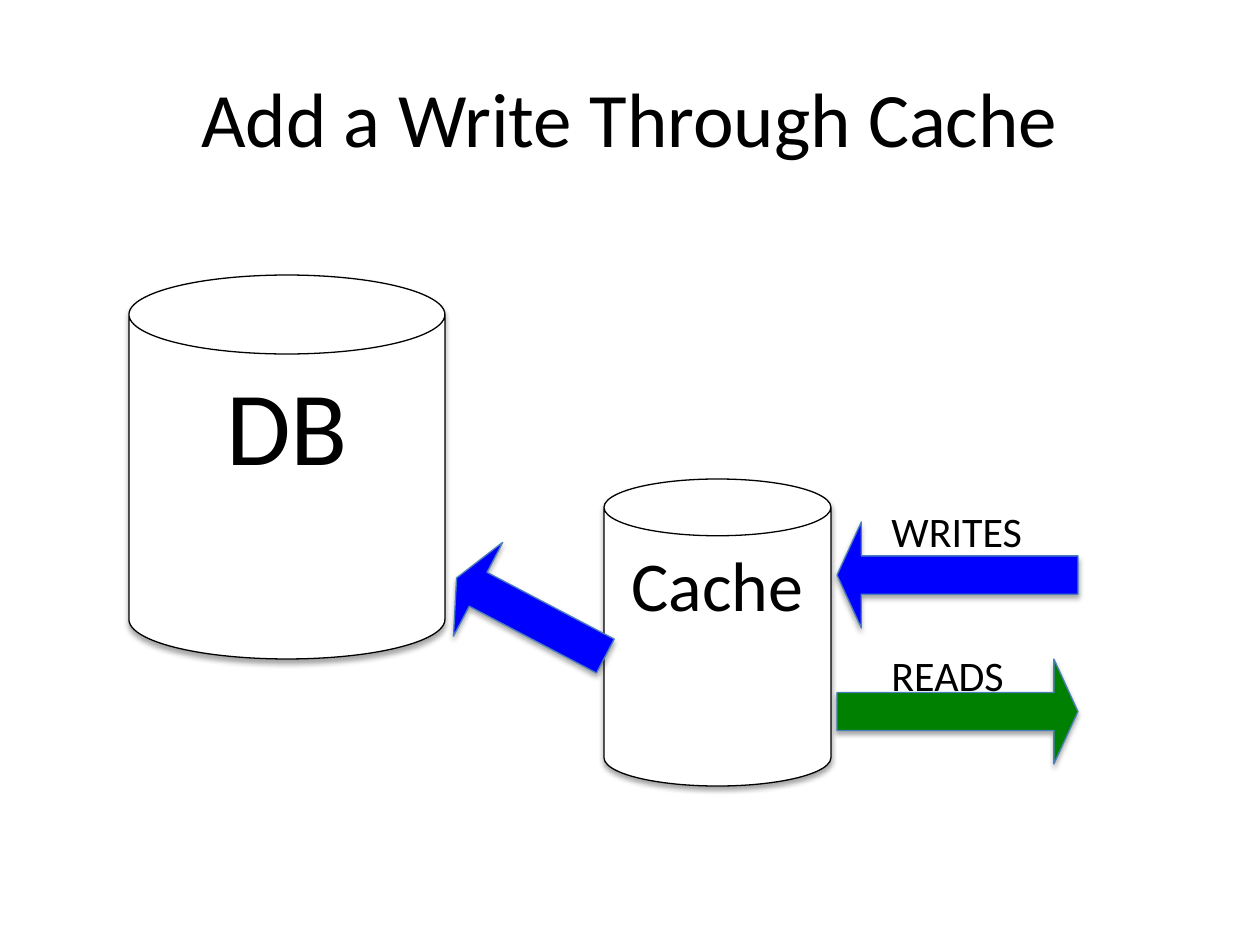
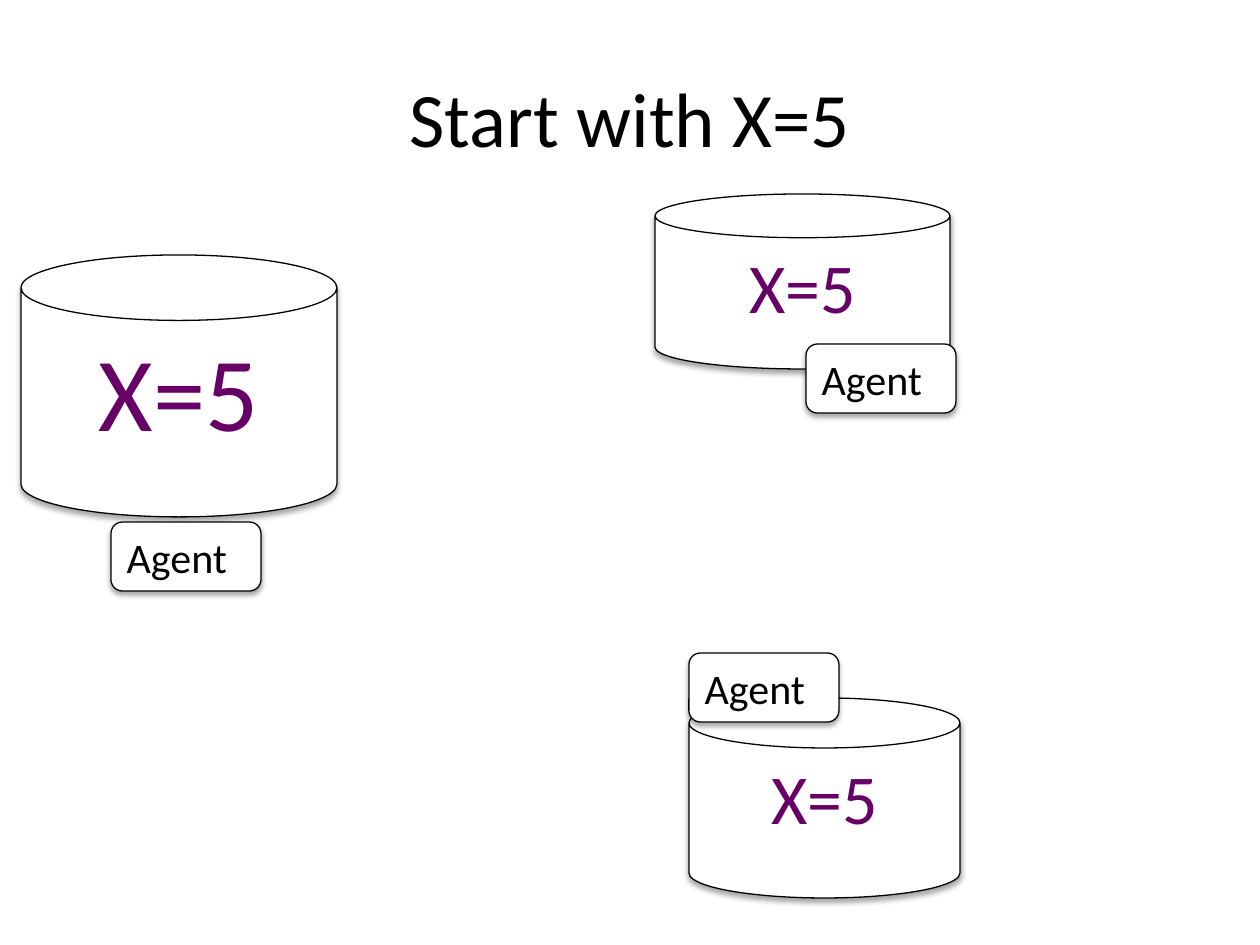
from lxml import etree
from pptx import Presentation
from pptx.dml.color import RGBColor
from pptx.enum.shapes import MSO_SHAPE as Preset
from pptx.enum.text import MSO_ANCHOR as Anchor, PP_ALIGN as Align
from pptx.oxml.ns import qn
from pptx.util import Pt

PX = 914400 / 126
FONT = "Calibri"
BLACK, WHITE, PURPLE = "000000", "FFFFFF", "660066"
BLUE, GREEN, ARROW_EDGE = "0000FF", "008000", "4B7EBC"
TITLE_BOX = (63, 38, 1134, 158)
LABEL_SIZE = (169, 63)
AGENT_SIZE = (150, 69)
ARROW_ADJUSTMENTS = (0.361, 0.229)

# Cylinders: box, text, text size, text colour
# Arrows: box, rotation, fill
# Labels and agents: left, top (and text)
SLIDES = [
    {
        "title": "Add a Write Through Cache",
        "cylinders": [
            ((129, 275, 316, 384), "DB", 60, BLACK),
            ((604, 479, 227, 307), "Cache", 40, BLACK),
        ],
        "arrows": [
            ((837, 522, 241, 106), 180, BLUE),
            ((447, 564, 168, 106), 207.7, BLUE),
            ((837, 659, 241, 105), 0, GREEN),
        ],
        "labels": [(879, 499, "WRITES"), (879, 643, "READS")],
        "agents": [],
    },
    {
        "title": "Start with X=5",
        "cylinders": [
            ((21, 255, 316, 262), "X=5", 60, PURPLE),
            ((689, 698, 271, 200), "X=5", 40, PURPLE),
            ((655, 194, 295, 175), "X=5", 40, PURPLE),
        ],
        "arrows": [],
        "labels": [],
        "agents": [(806, 344), (689, 653), (111, 522)],
    },
]


def emu(*lengths):
    return [round(length * PX) for length in lengths]


def color(value):
    return RGBColor.from_string(value)


def write(shape, text, size, text_color=BLACK, align=Align.LEFT, anchor=Anchor.TOP):
    frame = shape.text_frame
    frame.word_wrap = True
    frame.vertical_anchor = anchor
    paragraph = frame.paragraphs[0]
    paragraph.alignment = align
    run = paragraph.add_run()
    run.text = text
    run.font.name = FONT
    run.font.size = Pt(size)
    run.font.color.rgb = color(text_color)


def add_text(slide, box, text, size, **style):
    write(slide.shapes.add_textbox(*emu(*box)), text, size, **style)


def add_soft_shadow(shape):
    """Give the shape a short shadow that falls straight down."""
    shape.shadow.inherit = False
    effects = shape._element.spPr.find(qn("a:effectLst"))
    shadow = etree.SubElement(
        effects, qn("a:outerShdw"), blurRad=str(Pt(3.1)), dist=str(Pt(1.8)),
        dir=str(90 * 60000), rotWithShape="0")
    tint = etree.SubElement(shadow, qn("a:srgbClr"), val=BLACK)
    etree.SubElement(tint, qn("a:alpha"), val="35000")


def add_block(slide, preset, box, fill=WHITE, edge=BLACK):
    shape = slide.shapes.add_shape(preset, *emu(*box))
    shape.fill.solid()
    shape.fill.fore_color.rgb = color(fill)
    shape.line.color.rgb = color(edge)
    shape.line.width = Pt(0.75)
    add_soft_shadow(shape)
    return shape


def add_arrow(slide, box, rotation, fill):
    arrow = add_block(slide, Preset.RIGHT_ARROW, box, fill, ARROW_EDGE)
    arrow.rotation = rotation
    for index, value in enumerate(ARROW_ADJUSTMENTS):
        arrow.adjustments[index] = value


def build_slide(presentation, content):
    slide = presentation.slides.add_slide(presentation.slide_layouts[6])
    add_text(slide, TITLE_BOX, content["title"], 44,
             align=Align.CENTER, anchor=Anchor.MIDDLE)
    for box, text, size, text_color in content["cylinders"]:
        cylinder = add_block(slide, Preset.CAN, box)
        write(cylinder, text, size, text_color, Align.CENTER)
    for arrow in content["arrows"]:
        add_arrow(slide, *arrow)
    for left, top, text in content["labels"]:
        add_text(slide, (left, top, *LABEL_SIZE), text, 24)
    for corner in content["agents"]:
        agent = add_block(slide, Preset.ROUNDED_RECTANGLE, (*corner, *AGENT_SIZE))
        write(agent, "Agent", 24)


def main():
    presentation = Presentation()
    presentation.slide_width, presentation.slide_height = emu(1260, 945)
    for content in SLIDES:
        build_slide(presentation, content)
    presentation.save("out.pptx")


if __name__ == "__main__":
    main()
